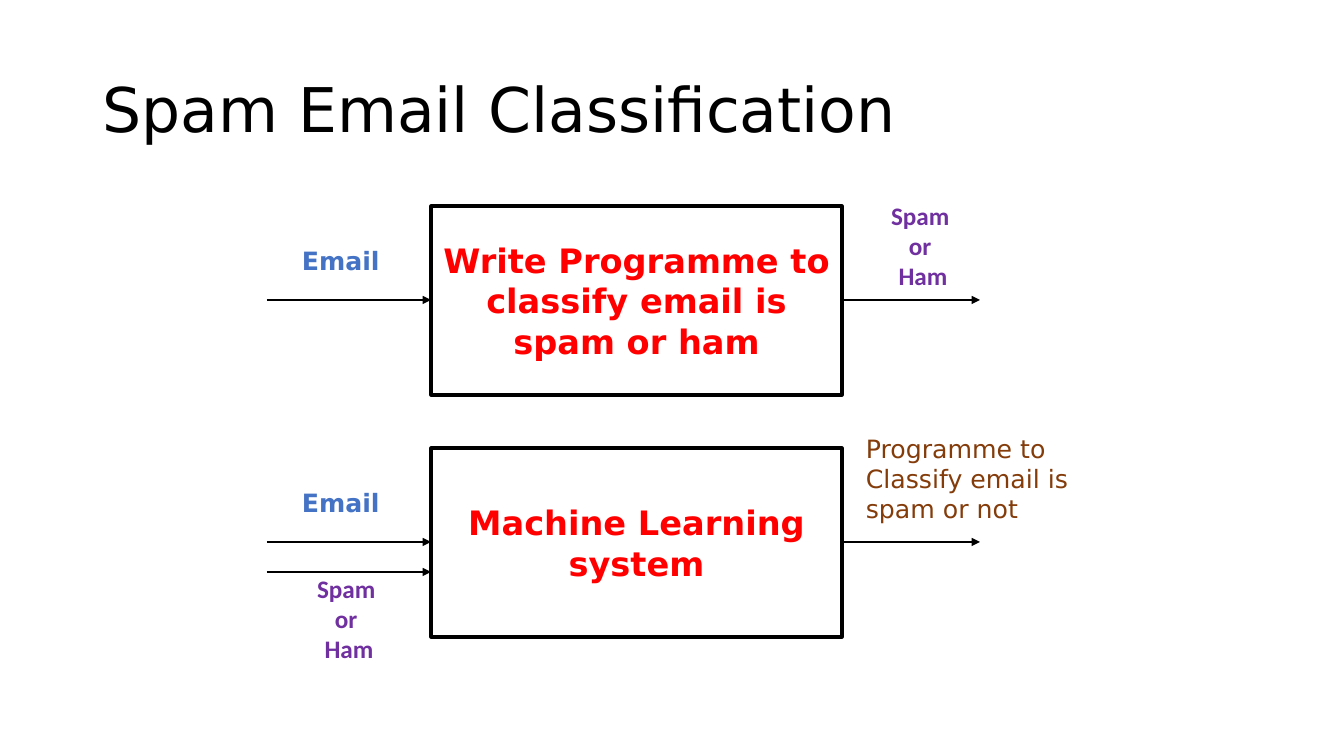
"""Build the spam email classification slide: hand-written programme versus learning system."""
from pptx import Presentation
from pptx.dml.color import RGBColor
from pptx.enum.shapes import MSO_CONNECTOR as Connector, MSO_SHAPE as Shape
from pptx.enum.text import MSO_ANCHOR as Anchor, PP_ALIGN as Align
from pptx.oxml.ns import qn
from pptx.util import Pt
from lxml.etree import SubElement

SCALE = 914400 / 100.8
COLORS = {"black": "000000", "white": "FFFFFF", "red": "FF0000",
          "purple": "7030A0", "blue": "4472C4", "brown": "843C0B"}
STYLES = {
    "title": ("black", Align.LEFT, Anchor.MIDDLE, 0.9,
              {"size": Pt(44), "name": "DejaVu Sans", "bold": False}),
    "system": ("red", Align.CENTER, Anchor.MIDDLE, 1.0,
               {"size": Pt(24), "name": "DejaVu Sans", "bold": True}),
    "email": ("blue", Align.LEFT, Anchor.TOP, 1.0,
              {"size": Pt(18), "name": "DejaVu Sans", "bold": True}),
    "verdict": ("purple", Align.CENTER, Anchor.TOP, 1.0,
                {"size": Pt(18), "name": "Calibri", "bold": True}),
    "programme": ("brown", Align.LEFT, Anchor.TOP, 1.0,
                  {"size": Pt(18), "name": "DejaVu Sans", "bold": False}),
}


def px(*lengths):
    """Turn pixels into EMU."""
    return [round(length * SCALE) for length in lengths]


def write(box, lines, style):
    """Fill a box with one paragraph per line in the named style."""
    color, align, anchor, spacing, font = STYLES[style]
    frame = box.text_frame
    frame.word_wrap = True
    frame.vertical_anchor = anchor
    for index, line in enumerate(lines):
        para = frame.paragraphs[0] if index == 0 else frame.add_paragraph()
        para.alignment = align
        para.line_spacing = spacing
        span = para.add_run()
        span.text = line
        for name, value in font.items():
            setattr(span.font, name, value)
        span.font.color.rgb = RGBColor.from_string(COLORS[color])


deck = Presentation()
deck.slide_width, deck.slide_height = px(1344, 756)
page = deck.slides.add_slide(deck.slide_layouts[6])

systems = [(206, "Write Programme to classify email is spam or ham"),
           (448, "Machine Learning system")]
for top, wording in systems:
    box = page.shapes.add_shape(Shape.RECTANGLE, *px(431, top, 411, 189))
    box.shadow.inherit = False
    box.fill.solid()
    box.fill.fore_color.rgb = RGBColor.from_string(COLORS["white"])
    box.line.color.rgb = RGBColor.from_string(COLORS["black"])
    box.line.width = Pt(2.25)
    write(box, [wording], "system")

verdict = ["Spam ", "or ", "Ham"]
labels = [
    ((93, 40, 1159, 146), ["Spam Email Classification"], "title"),
    ((292, 240, 114, 40), ["Email"], "email"),
    ((292, 482, 114, 40), ["Email"], "email"),
    ((866, 195, 114, 102), verdict, "verdict"),
    ((292, 568, 114, 102), verdict, "verdict"),
    ((856, 428, 250, 102), ["Programme to Classify email is spam or not"], "programme"),
]
for place, lines, style in labels:
    write(page.shapes.add_textbox(*px(*place)), lines, style)

inputs = [(267, 431, y) for y in (300, 542, 572)]
outputs = [(842, 980, y) for y in (300, 542)]
for start, end, y in inputs + outputs:
    arrow = page.shapes.add_connector(Connector.STRAIGHT, *px(start, y, end, y))
    arrow.line.color.rgb = RGBColor.from_string(COLORS["black"])
    arrow.line.width = Pt(1.5)
    SubElement(arrow.line._get_or_add_ln(), qn("a:tailEnd"), type="triangle")
    SubElement(arrow._element.spPr, qn("a:effectLst"))

deck.save("out.pptx")
